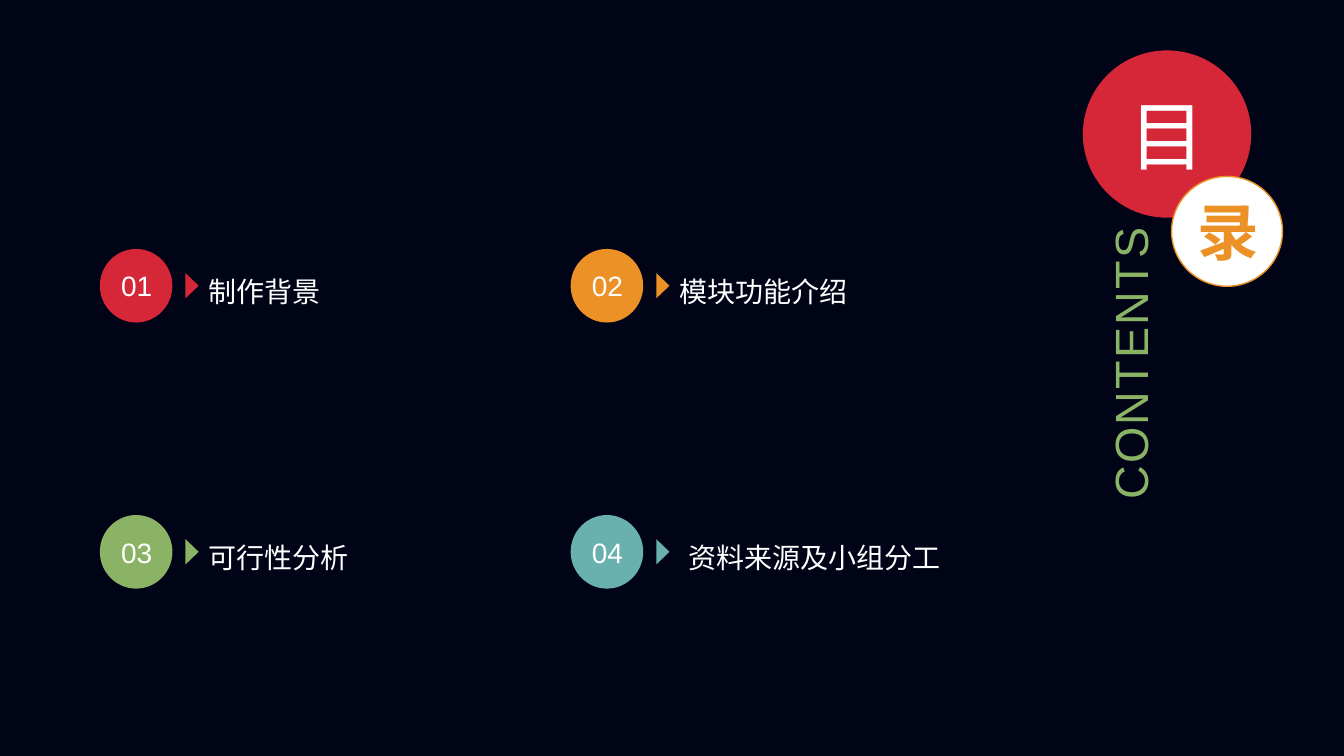
from pptx import Presentation
from pptx.dml.color import RGBColor
from pptx.enum.shapes import MSO_SHAPE as Preset
from pptx.enum.text import MSO_ANCHOR as Anchor, PP_ALIGN as Align
from pptx.oxml.ns import qn
from pptx.oxml.xmlchemy import OxmlElement
from pptx.util import Inches, Pt

COLORS = {
    "night": "010317",
    "white": "FFFFFF",
    "red": "D62739",
    "orange": "EC9126",
    "green": "8AB365",
    "teal": "69B1AF",
}
FONT = "Arial"
GRID_LEFT, GRID_TOP = 0.99, 2.47
COLUMN_STEP, ROW_STEP = 4.67, 2.64
MARKER_WIDTH, DISC_WIDTH, DISC_HEIGHT = 0.98, 0.72, 0.73
ARROW_WIDTH, ARROW_HEIGHT = 0.13, 0.25
CURVE = 0.55
UNITS = 1000
ENTRIES = [
    ("制作背景", "red", 0),
    ("模块功能介绍", "orange", 0),
    ("可行性分析", "green", 0),
    ("资料来源及小组分工", "teal", 0.09),
]


def color(name):
    return RGBColor.from_string(COLORS[name])


def write(shape, text, size, color_name, align=Align.CENTER, anchor=Anchor.MIDDLE, bold=False):
    frame = shape.text_frame
    frame.text = text
    frame.word_wrap = True
    frame.vertical_anchor = anchor
    paragraph = frame.paragraphs[0]
    paragraph.alignment = align
    font = paragraph.runs[0].font
    font.size, font.bold, font.name = Pt(size), bold, FONT
    font.color.rgb = color(color_name)
    east_asian = OxmlElement("a:ea")
    east_asian.set("typeface", FONT)
    paragraph.runs[0]._r.get_or_add_rPr().find(qn("a:latin")).addnext(east_asian)
    return paragraph


def paint(shape, fill, outline=None):
    shape.shadow.inherit = False
    shape.fill.solid()
    shape.fill.fore_color.rgb = color(fill)
    if outline:
        shape.line.color.rgb = color(outline)
        shape.line.width = Pt(1)
    else:
        shape.line.fill.background()


def add_textbox(shapes, left, top, width, height):
    return shapes.add_textbox(Inches(left), Inches(top), Inches(width), Inches(height))


def add_disc(slide, box, fill, text, size, text_color, outline=None, bold=False):
    disc = slide.shapes.add_shape(Preset.OVAL, *map(Inches, box))
    paint(disc, fill, outline)
    write(disc, text, size, text_color, bold=bold)


def bend(line, start, end, center):
    corner = [a + b - c for a, b, c in zip(start, end, center)]
    handles = [[a + CURVE * (b - a) for a, b in zip(point, corner)] for point in (start, end)]
    curve = OxmlElement("a:cubicBezTo")
    for x, y in (*handles, end):
        point = OxmlElement("a:pt")
        point.set("x", str(round(x)))
        point.set("y", str(round(y)))
        curve.append(point)
    line.getparent().replace(line, curve)


def add_marker(shapes, left, top, fill, number):
    width, height = DISC_WIDTH * UNITS, DISC_HEIGHT * UNITS
    center = middle, level = width / 2, height / 2
    tip = MARKER_WIDTH * UNITS
    back, half = tip - ARROW_WIDTH * UNITS, ARROW_HEIGHT * UNITS / 2
    ring = [(middle, 0), (width, level), (middle, height), (0, level), (middle, 0)]
    builder = shapes.build_freeform(back, level - half, scale=Inches(1) / UNITS)
    builder.add_line_segments([(tip, level), (back, level + half)], close=True)
    builder.move_to(*ring[0])
    builder.add_line_segments(ring[1:], close=True)
    marker = builder.convert_to_shape(Inches(left), Inches(top))
    sides = list(marker._element.iter(qn("a:lnTo")))[-4:]
    for line, start, end in zip(sides, ring, ring[1:]):
        bend(line, start, end, center)
    paint(marker, fill)
    write(marker, number, 20, "white")
    frame = marker.text_frame
    frame.margin_left = frame.margin_top = frame.margin_bottom = 0
    frame.margin_right = Inches(0.25)


def add_entry(slide, index, title, fill, shift):
    row, column = divmod(index, 2)
    left = GRID_LEFT + column * COLUMN_STEP
    top = GRID_TOP + row * ROW_STEP
    shapes = slide.shapes.add_group_shape().shapes
    label = add_textbox(shapes, left + MARKER_WIDTH + shift, top - 0.15, 3.62 - shift, 1.03)
    write(label, title, 20, "white", Align.LEFT).line_spacing = 1.3
    add_marker(shapes, left, top, fill, f"{index + 1:02}")


def add_heading(slide):
    add_disc(slide, (10.74, 0.5, 1.67, 1.66), "red", "目", 54, "white")
    add_disc(slide, (11.62, 1.75, 1.1, 1.09), "white", "录", 44, "orange", "orange", True)
    contents = add_textbox(slide.shapes, 9.69, 3.34, 3.11, 0.74)
    contents.rotation = 270
    paragraph = write(contents, "CONTENTS", 33.3, "green", Align.RIGHT, Anchor.TOP)
    paragraph.runs[0]._r.get_or_add_rPr().set("spc", "160")


def main():
    presentation = Presentation()
    presentation.slide_width, presentation.slide_height = Inches(13.33), Inches(7.5)
    slide = presentation.slides.add_slide(presentation.slide_layouts[6])
    slide.background.fill.solid()
    slide.background.fill.fore_color.rgb = color("night")
    add_heading(slide)
    for index, entry in enumerate(ENTRIES):
        add_entry(slide, index, *entry)
    presentation.save("out.pptx")


main()
